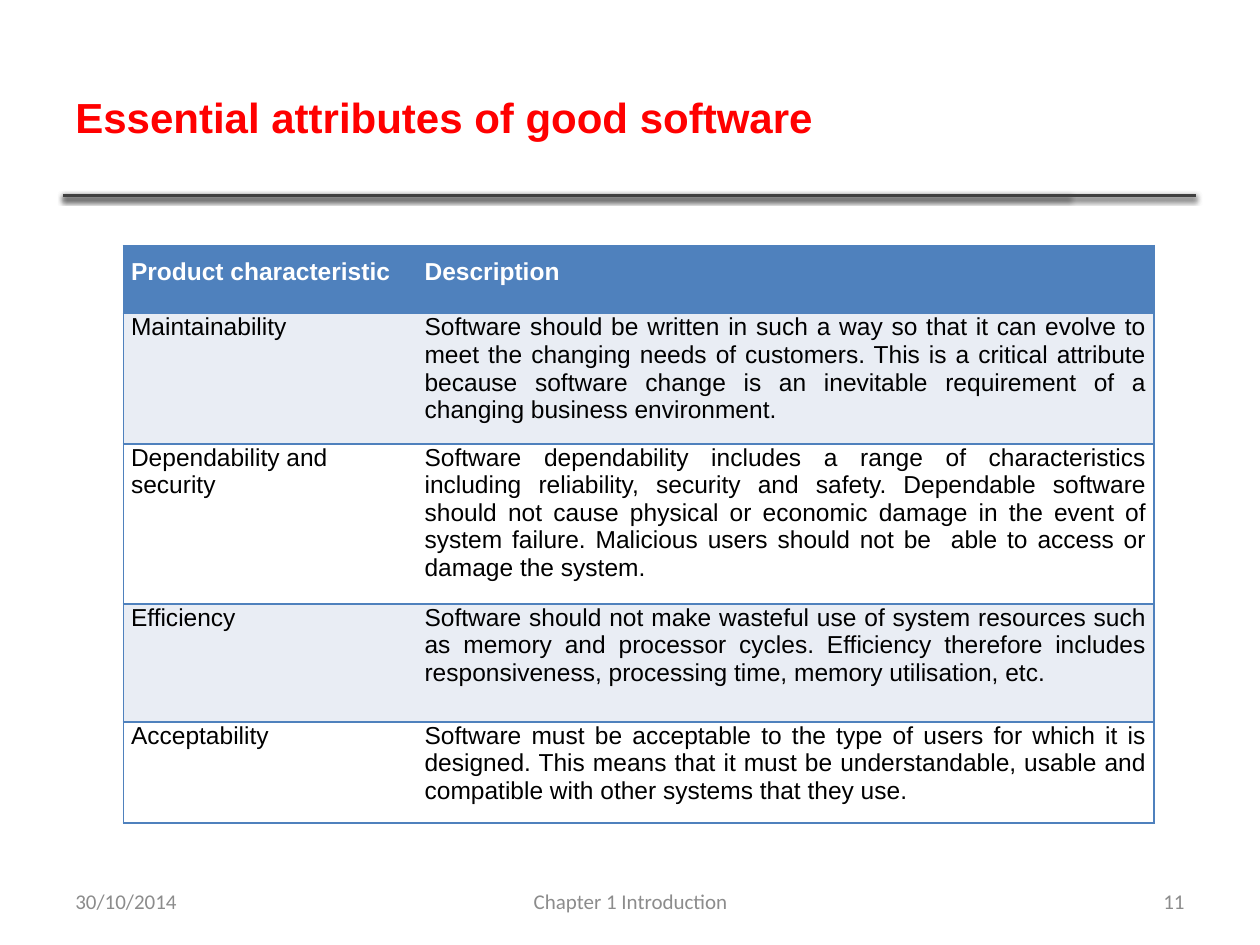
from lxml import etree
from pptx import Presentation
from pptx.dml.color import RGBColor
from pptx.enum import shapes, text
from pptx.oxml import ns, parse_xml
from pptx.util import Inches, Pt

COLORS = {
    "title": "FF0000", "rule": "404040", "shadow": "000000",
    "header": "4F81BD", "band": "E9EDF4", "plain": "FFFFFF",
    "header_text": "FFFFFF", "body_text": "000000", "footer": "8C8C8C",
}
RULE_ENDS = [8.49, 9.49, 9.49]
COLUMN_WIDTHS = [2.33, 5.85]
ROW_HEIGHTS = [0.54, 0.94, 1.14, 0.94, 0.74]
ATTRIBUTES = [
    ("Product characteristic", "Description"),
    ("Maintainability",
     "Software should be written in such a way so that it can evolve to meet the "
     "changing needs of customers. This is a critical attribute because software "
     "change is an inevitable requirement of a changing business environment."),
    ("Dependability and security",
     "Software dependability includes a range of characteristics including "
     "reliability, security and safety. Dependable software should not cause "
     "physical or economic damage in the event of system failure. Malicious users "
     "should not be  able to access or damage the system."),
    ("Efficiency",
     "Software should not make wasteful use of system resources such as memory and "
     "processor cycles. Efficiency therefore includes responsiveness, processing "
     "time, memory utilisation, etc."),
    ("Acceptability",
     "Software must be acceptable to the type of users for which it is designed. "
     "This means that it must be understandable, usable and compatible with other "
     "systems that they use. "),
]
LEFT, CENTER, RIGHT, JUSTIFY = (
    text.PP_ALIGN.LEFT, text.PP_ALIGN.CENTER, text.PP_ALIGN.RIGHT, text.PP_ALIGN.JUSTIFY)


def rgb(name):
    return RGBColor.from_string(COLORS[name])


def format_paragraph(paragraph, font, size, color, align, bold=False):
    paragraph.alignment = align
    for run in paragraph.runs:
        run.font.name = font
        run.font.size = Pt(size)
        run.font.bold = bold
        run.font.color.rgb = rgb(color)


def add_label(slide, wording, left, top, width, height, *style):
    label = slide.shapes.add_textbox(
        Inches(left), Inches(top), Inches(width), Inches(height))
    frame = label.text_frame
    frame.word_wrap = True
    frame.vertical_anchor = text.MSO_ANCHOR.MIDDLE
    frame.text = wording
    format_paragraph(frame.paragraphs[0], *style)


def add_rule(slide, end):
    """Draw a shadowed line under the title."""
    y = Inches(1.55)
    rule = slide.shapes.add_connector(
        shapes.MSO_CONNECTOR.STRAIGHT, Inches(0.5), y, Inches(end), y)
    rule.line.color.rgb = rgb("rule")
    rule.line.width = Pt(2)
    rule._element.spPr.append(parse_xml(
        f'<a:effectLst {ns.nsdecls("a")}>'
        f'<a:outerShdw blurRad="{Pt(3.1)}" dist="{Pt(1.6)}" dir="5400000" rotWithShape="0">'
        f'<a:srgbClr val="{COLORS["shadow"]}"><a:alpha val="38000"/></a:srgbClr>'
        '</a:outerShdw></a:effectLst>'))


def set_borders(cell, visible):
    """Draw the sides named in visible and hide the others."""
    properties = cell._tc.get_or_add_tcPr()
    for position, side in enumerate("LRTB"):
        border = etree.Element(ns.qn(f"a:ln{side}"), w=str(Pt(1)))
        if side in visible:
            fill = etree.SubElement(border, ns.qn("a:solidFill"))
            etree.SubElement(fill, ns.qn("a:srgbClr"), val=COLORS["header"])
        else:
            etree.SubElement(border, ns.qn("a:noFill"))
        properties.insert(position, border)


def fill_cell(cell, wording, row, column):
    is_header = row == 0
    cell.margin_left = cell.margin_right = Inches(0.06)
    cell.margin_top = Inches(0.1 if is_header else 0)
    cell.margin_bottom = Inches(0.1)
    cell.fill.solid()
    cell.fill.fore_color.rgb = rgb(
        "header" if is_header else "band" if row % 2 else "plain")
    cell.text_frame.text = wording
    align = LEFT if wording.startswith("Dependability") else JUSTIFY
    format_paragraph(cell.text_frame.paragraphs[0], "Arial", 14,
                     "header_text" if is_header else "body_text", align, is_header)
    set_borders(cell, "RTB" if column else "LTB")


def add_attribute_table(slide):
    table = slide.shapes.add_table(
        len(ATTRIBUTES), len(COLUMN_WIDTHS), Inches(0.98), Inches(1.95),
        Inches(sum(COLUMN_WIDTHS)), Inches(sum(ROW_HEIGHTS))).table
    for column, width in zip(table.columns, COLUMN_WIDTHS):
        column.width = Inches(width)
    for row, height in zip(table.rows, ROW_HEIGHTS):
        row.height = Inches(height)
    for r, entries in enumerate(ATTRIBUTES):
        for c, wording in enumerate(entries):
            fill_cell(table.cell(r, c), wording, r, c)


def main():
    presentation = Presentation()
    presentation.slide_width, presentation.slide_height = Inches(10), Inches(7.5)
    slide = presentation.slides.add_slide(presentation.slide_layouts[6])
    for end in RULE_ENDS:
        add_rule(slide, end)
    add_label(slide, "Essential attributes of good software",
              0.5, 0.3, 7.98, 1.25, "Arial", 24, "title", LEFT, True)
    add_attribute_table(slide)
    for wording, left, width, align in [
        ("Chapter 1 Introduction", 3.42, 3.17, CENTER),
        ("30/10/2014", 0.5, 2.33, LEFT),
        ("11", 7.17, 2.33, RIGHT),
    ]:
        add_label(slide, wording, left, 6.95, width, 0.4, "Calibri", 12, "footer", align)
    presentation.save("out.pptx")


if __name__ == "__main__":
    main()
